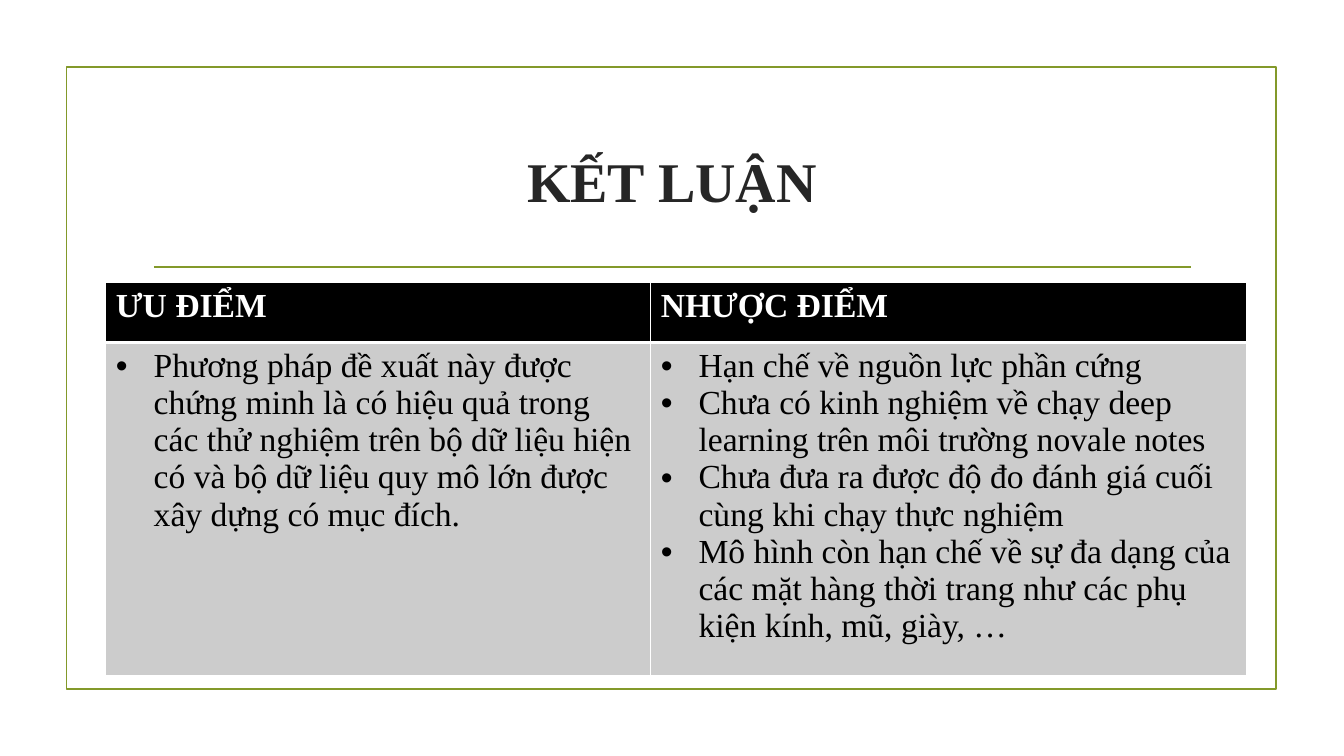
import pptx
import pptx.dml.color
import pptx.enum.shapes
import pptx.enum.text
import pptx.util
import lxml.etree

Pt = pptx.util.Pt
NS = "http://schemas.openxmlformats.org/drawingml/2006/main"


def tint(code):
    return pptx.dml.color.RGBColor.from_string(code)


def add(parent, tag, **attrs):
    """Append a DrawingML element and return it."""
    return lxml.etree.SubElement(parent, f"{{{NS}}}{tag}", attrs)


class Page:
    font = "Times New Roman"
    green, dark, black, white, grey = "83992A", "262626", "000000", "FFFFFF", "CCCCCC"

    def __init__(self, slide):
        self.slide = slide
        self.shapes = slide.shapes

    def frame(self, left, top, width, height):
        kind = pptx.enum.shapes.MSO_SHAPE.RECTANGLE
        box = self.shapes.add_shape(kind, Pt(left), Pt(top), Pt(width), Pt(height))
        box.shadow.inherit = False
        box.fill.background()
        self.stroke(box.line)

    def rule(self, left, right, y):
        kind = pptx.enum.shapes.MSO_CONNECTOR.STRAIGHT
        line = self.shapes.add_connector(kind, Pt(left), Pt(y), Pt(right), Pt(y))
        self.stroke(line.line)
        add(line._element.spPr, "effectLst")

    def stroke(self, line):
        line.color.rgb = tint(self.green)
        line.width = Pt(1.25)

    def label(self, para, text, size, color, bold):
        run = para.add_run()
        run.text = text
        run.font.name = self.font
        run.font.size = Pt(size)
        run.font.bold = bold
        run.font.color.rgb = tint(color)

    def title(self, text, left, top, width, height):
        box = self.shapes.add_textbox(Pt(left), Pt(top), Pt(width), Pt(height))
        body = box.text_frame
        body.word_wrap = True
        body.vertical_anchor = pptx.enum.text.MSO_ANCHOR.MIDDLE
        para = body.paragraphs[0]
        para.alignment = pptx.enum.text.PP_ALIGN.CENTER
        self.label(para, text, 40, self.dark, True)

    def bullet(self, para):
        props = para._p.get_or_add_pPr()
        props.set("marL", str(Pt(27)))
        props.set("indent", str(-Pt(27)))
        add(props, "buFont", typeface="Arial")
        add(props, "buChar", char="•")

    def cell(self, cell, lines, head):
        props = cell._tc.get_or_add_tcPr()
        thick = "B" if head else "T"
        for side in "LRTB":
            width = 3 if side == thick else 1
            edge = add(props, f"ln{side}", w=str(Pt(width)))
            add(add(edge, "solidFill"), "srgbClr", val=self.white)
        cell.fill.solid()
        cell.fill.fore_color.rgb = tint(self.black if head else self.grey)
        body = cell.text_frame
        for i, text in enumerate(lines):
            para = body.add_paragraph() if i else body.paragraphs[0]
            if not head:
                self.bullet(para)
            self.label(para, text, 24, self.white if head else self.black, head)

    def table(self, left, top, widths, heights, columns):
        """Draw columns given as (heading, bullet lines) pairs."""
        grid = self.shapes.add_table(
            len(heights), len(widths), Pt(left), Pt(top),
            Pt(sum(widths)), Pt(sum(heights))).table
        for row, height in zip(grid.rows, heights):
            row.height = Pt(height)
        for x, (width, (heading, lines)) in enumerate(zip(widths, columns)):
            grid.columns[x].width = Pt(width)
            self.cell(grid.cell(0, x), [heading], True)
            self.cell(grid.cell(1, x), lines, False)


def main():
    deck = pptx.Presentation()
    deck.slide_width, deck.slide_height = Pt(960), Pt(540)
    page = Page(deck.slides.add_slide(deck.slide_layouts[6]))
    page.frame(47.5, 48, 864, 444)
    page.rule(110, 850.5, 190.8)
    page.title("KẾT LUẬN", 102, 77, 756, 103)
    page.table(75.6, 201.8, [389.2, 426], [42.9, 198], [
        ("ƯU ĐIỂM", [
            "Phương pháp đề xuất này được chứng minh là có hiệu quả trong các "
            "thử nghiệm trên bộ dữ liệu hiện có và bộ dữ liệu quy mô lớn được "
            "xây dựng có mục đích.",
        ]),
        ("NHƯỢC ĐIỂM", [
            "Hạn chế về nguồn lực phần cứng",
            "Chưa có kinh nghiệm về chạy deep learning trên môi trường novale notes",
            "Chưa đưa ra được độ đo đánh giá cuối cùng khi chạy thực nghiệm",
            "Mô hình còn hạn chế về sự đa dạng của các mặt hàng thời trang "
            "như các phụ kiện kính, mũ, giày, …",
        ]),
    ])
    deck.save("out.pptx")


if __name__ == "__main__":
    main()
